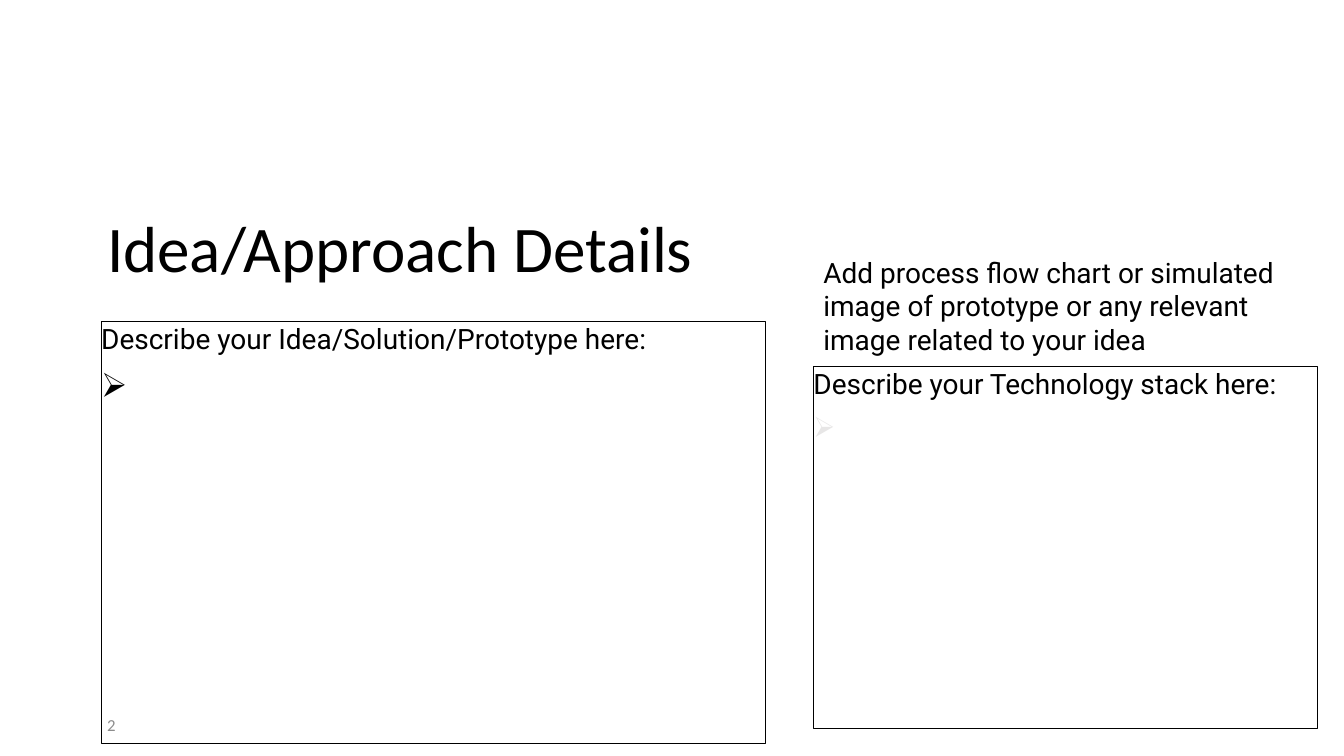
from dataclasses import dataclass

from lxml.etree import SubElement
from pptx import Presentation
from pptx.dml.color import RGBColor
from pptx.enum.shapes import MSO_SHAPE
from pptx.enum.text import MSO_ANCHOR, PP_ALIGN
from pptx.oxml.ns import qn
from pptx.util import Cm, Pt


@dataclass(frozen=True)
class Theme:
    ink: str = "000000"
    pale: str = "E7E6E6"
    muted: str = "8C8C8C"
    heading_font: str = "Calibri"
    body_font: str = "Roboto"
    bullet_font: str = "Wingdings"
    title_size: float = 46.5
    body_size: float = 20
    bullet_size: float = 24
    number_size: float = 12
    outline: float = 0.75
    bullet: str = "Ø"
    bullet_indent: float = 0.79


class IdeaSlide:
    def __init__(self, slide, theme):
        self.slide = slide
        self.theme = theme

    def style(self, paragraph, size, font, color):
        paragraph.alignment = PP_ALIGN.LEFT
        for run in paragraph.runs:
            run.font.size = Pt(size)
            run.font.name = font
            run.font.color.rgb = RGBColor.from_string(color)

    def frame(self, holder, anchor=MSO_ANCHOR.TOP, inset=(0, 0)):
        frame = holder.text_frame
        frame.word_wrap = True
        frame.vertical_anchor = anchor
        frame.margin_left = frame.margin_right = Cm(inset[0])
        frame.margin_top = frame.margin_bottom = Cm(inset[1])
        return frame

    def label(self, text, box, size, font, color, spacing=None, **layout):
        holder = self.slide.shapes.add_textbox(*map(Cm, box))
        frame = self.frame(holder, **layout)
        frame.text = text
        paragraph = frame.paragraphs[0]
        paragraph.line_spacing = spacing
        self.style(paragraph, size, font, color)

    def bullet(self, paragraph, color, left):
        properties = paragraph._p.get_or_add_pPr()
        properties.set("marL", str(Cm(left)))
        properties.set("indent", str(-Cm(self.theme.bullet_indent)))
        bullet_color = SubElement(properties, qn("a:buClr"))
        SubElement(bullet_color, qn("a:srgbClr"), val=color)
        SubElement(properties, qn("a:buFont"), typeface=self.theme.bullet_font,
                   pitchFamily="2", charset="2")
        SubElement(properties, qn("a:buChar"), char=self.theme.bullet)

    def panel(self, prompt, box, bullet_font, bullet_size, bullet_color, bullet_left):
        theme = self.theme
        panel = self.slide.shapes.add_shape(MSO_SHAPE.RECTANGLE, *map(Cm, box))
        panel.shadow.inherit = False
        panel.fill.background()
        panel.line.color.rgb = RGBColor.from_string(theme.ink)
        panel.line.width = Pt(theme.outline)
        frame = self.frame(panel)
        frame.text = prompt
        self.style(frame.paragraphs[0], theme.body_size, theme.body_font, theme.ink)
        answer = frame.add_paragraph()
        answer.text = " "
        answer.space_before = Pt(10)
        self.style(answer, bullet_size, bullet_font, theme.ink)
        self.bullet(answer, bullet_color, bullet_left)


def main():
    theme = Theme()
    presentation = Presentation()
    presentation.slide_width = Cm(33.87)
    presentation.slide_height = Cm(19.05)
    page = IdeaSlide(presentation.slides.add_slide(presentation.slide_layouts[6]), theme)

    page.label("Idea/Approach Details", (2.7, 5.45, 15.37, 1.7), theme.title_size,
               theme.heading_font, theme.ink, spacing=0.7, anchor=MSO_ANCHOR.BOTTOM)
    page.panel("Describe your Idea/Solution/Prototype here:", (2.55, 8.1, 16.74, 10.63),
               theme.heading_font, theme.bullet_size, theme.ink, theme.bullet_indent)
    page.label("2", (2.7, 18.01, 1.45, 0.69), theme.number_size,
               theme.heading_font, theme.muted)
    page.label("Add process flow chart or simulated image of prototype or any relevant "
               "image related to your idea", (20.5, 6.3, 13.03, 2.82), theme.body_size,
               theme.body_font, theme.ink, inset=(0.25, 0.13))
    page.panel("Describe your Technology stack here:", (20.5, 9.23, 12.7, 9.12),
               theme.body_font, theme.body_size, theme.pale, 0)

    presentation.save("out.pptx")


if __name__ == "__main__":
    main()
